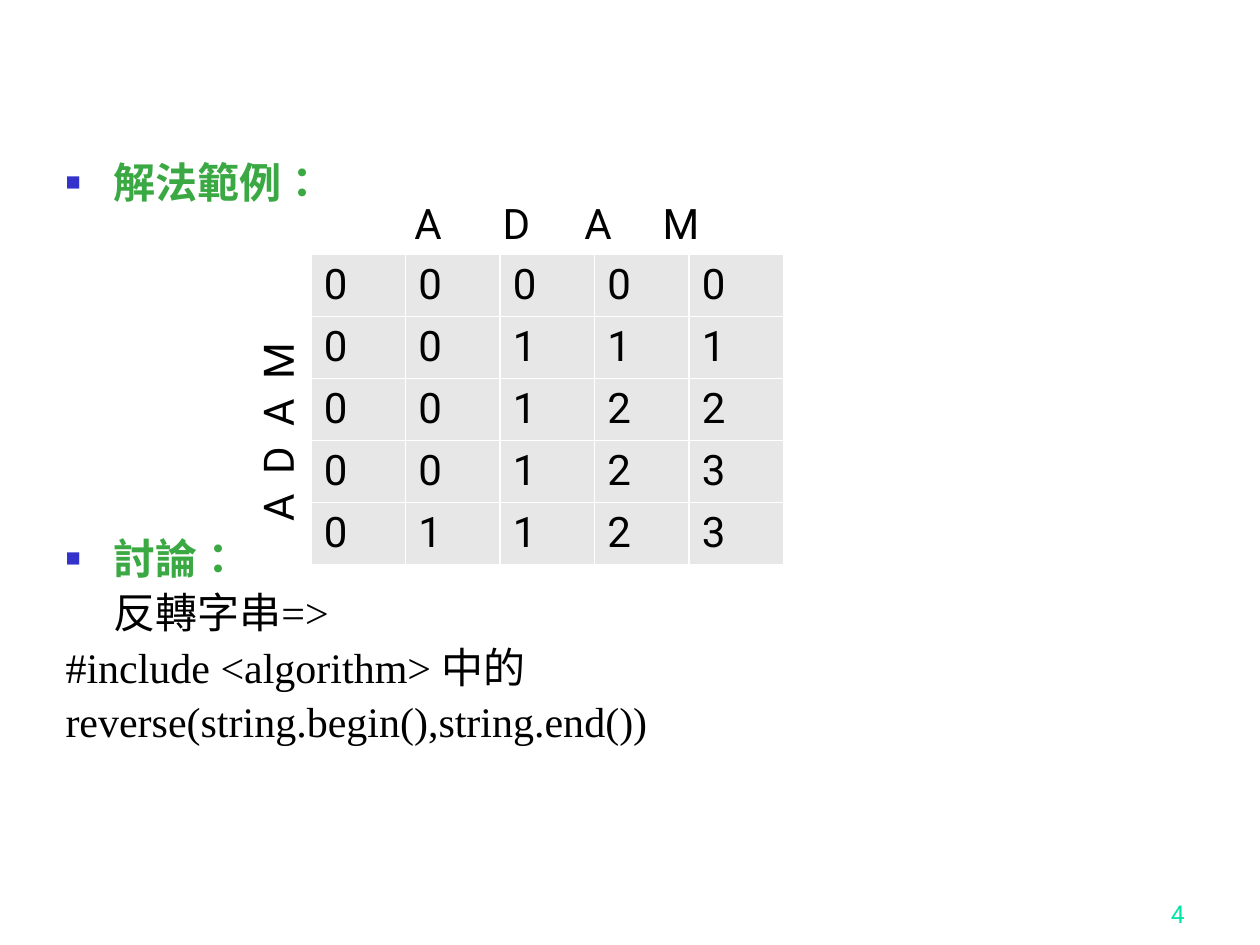
"""Build the slide on the longest common subsequence table of ADAM."""
import dataclasses
import typing

import lxml.etree
import pptx
import pptx.dml.color
import pptx.enum.lang
import pptx.enum.text
import pptx.oxml.ns
import pptx.util

Inches = pptx.util.Inches
Pt = pptx.util.Pt
RGBColor = pptx.dml.color.RGBColor
Align = pptx.enum.text.PP_ALIGN
Anchor = pptx.enum.text.MSO_ANCHOR

BLACK = RGBColor(0x00, 0x00, 0x00)
WHITE = RGBColor(0xFF, 0xFF, 0xFF)
GREEN = RGBColor(0x3B, 0xA9, 0x43)
BLUE = RGBColor(0x33, 0x33, 0xCC)
MINT = RGBColor(0x00, 0xE4, 0xA8)
CELL_GRAY = RGBColor(0xE7, 0xE7, 0xE7)

LINE_HEIGHT = Pt(31)
HANGING = Inches(0.38)
CELL_WIDTH, CELL_HEIGHT = Inches(0.75), Inches(0.44)
ROWS = ("00000", "00111", "00122", "00123", "01123")


@dataclasses.dataclass(frozen=True)
class BodyLine:
    text: str
    heading: bool = False
    hanging: bool = True
    space_before: float = 0


@dataclasses.dataclass(frozen=True)
class Label:
    text: str
    left: float
    top: float
    width: float
    tabs: tuple[float, ...] = ()
    rotation: float = 0
    size: float = 24
    color: RGBColor = BLACK
    alignment: Align = Align.LEFT
    anchor: Anchor = Anchor.TOP


BODY_LINES = (
    BodyLine("解法範例：", heading=True),
    BodyLine("討論：", heading=True, space_before=184),
    BodyLine("反轉字串=>", hanging=False),
    BodyLine("#include <algorithm> 中的"),
    BodyLine("reverse(string.begin(),string.end())"),
)
LABELS = (
    Label("A\tD\tA\tM", 3.19, 1.52, 3.78, tabs=(0.7, 1.35, 1.97)),
    Label("A\tD\tA\tM", 0.31, 2.1, 3.78, tabs=(0.38, 0.76, 1.13), rotation=270),
    Label("4", 7.42, 6.92, 2.08, size=14, color=MINT,
          alignment=Align.RIGHT, anchor=Anchor.BOTTOM),
)


def add_element(parent: typing.Any, tag: str, **attributes: str) -> typing.Any:
    """Append a drawing element with its attributes."""
    return lxml.etree.SubElement(parent, pptx.oxml.ns.qn(tag), attributes)


def set_values(target: typing.Any, values: dict[str, typing.Any]) -> None:
    """Set each named attribute on the target."""
    for name, value in values.items():
        setattr(target, name, value)


def format_font(font: typing.Any, name: str, size: float, color: RGBColor, bold: bool = False) -> None:
    """Apply typeface, size, weight and colour."""
    set_values(font, {"name": name, "size": Pt(size), "bold": bold})
    font.color.rgb = color


def add_bullet(properties: typing.Any) -> None:
    """Give a paragraph a small blue square bullet."""
    color = add_element(properties, "a:buClr")
    add_element(color, "a:srgbClr", val=str(BLUE))
    add_element(properties, "a:buSzPct", val="60000")
    add_element(properties, "a:buChar", char="■")


def fill_body(shape: typing.Any) -> None:
    """Place the body placeholder and write its lines."""
    set_values(shape, {"left": Inches(0.42), "top": Inches(1.16),
                       "width": Inches(8.83), "height": Inches(5.74)})
    frame = shape.text_frame
    set_values(frame, {"word_wrap": True, "vertical_anchor": Anchor.TOP,
                       "auto_size": pptx.enum.text.MSO_AUTO_SIZE.NONE})
    for index, line in enumerate(BODY_LINES):
        paragraph = frame.add_paragraph() if index else frame.paragraphs[0]
        properties = paragraph._p.get_or_add_pPr()
        properties.set("marL", str(HANGING))
        properties.set("indent", str(-HANGING if line.hanging else 0))
        if line.heading:
            add_bullet(properties)
        else:
            add_element(properties, "a:buNone")
        set_values(paragraph, {"line_spacing": LINE_HEIGHT, "alignment": Align.LEFT,
                               "space_before": Pt(line.space_before)})
        run = paragraph.add_run()
        run.text = line.text
        run.font.language_id = pptx.enum.lang.MSO_LANGUAGE_ID.TRADITIONAL_CHINESE
        format_font(run.font, "Times New Roman", 24,
                    GREEN if line.heading else BLACK, line.heading)


def add_border(cell: typing.Any) -> None:
    """Draw thin white lines around a cell."""
    properties = cell._tc.get_or_add_tcPr()
    for position, side in enumerate(("a:lnL", "a:lnR", "a:lnT", "a:lnB")):
        line = add_element(properties, side, w=str(Pt(1)))
        fill = add_element(line, "a:solidFill")
        add_element(fill, "a:srgbClr", val=str(WHITE))
        properties.insert(position, line)


def add_length_table(slide: typing.Any) -> None:
    """Add the table of subsequence lengths."""
    size = len(ROWS)
    table = slide.shapes.add_table(size, size, Inches(2.47), Inches(2.02),
                                   CELL_WIDTH * size, CELL_HEIGHT * size).table
    set_values(table, {"first_row": False, "horz_banding": False})
    for row, digits in enumerate(ROWS):
        table.rows[row].height = CELL_HEIGHT
        for column, digit in enumerate(digits):
            cell = table.cell(row, column)
            cell.text = digit
            cell.fill.solid()
            cell.fill.fore_color.rgb = CELL_GRAY
            add_border(cell)
            format_font(cell.text_frame.paragraphs[0].runs[0].font, "Roboto", 24, BLACK)


def add_label(slide: typing.Any, label: Label) -> None:
    """Add a text box, with tab stops where given."""
    shape = slide.shapes.add_textbox(Inches(label.left), Inches(label.top),
                                     Inches(label.width), Inches(0.5))
    shape.rotation = label.rotation
    set_values(shape.text_frame, {"word_wrap": True, "vertical_anchor": label.anchor})
    paragraph = shape.text_frame.paragraphs[0]
    if label.tabs:
        tab_list = add_element(paragraph._p.get_or_add_pPr(), "a:tabLst")
        for position in label.tabs:
            add_element(tab_list, "a:tab", pos=str(Inches(position)), algn="l")
    paragraph.alignment = label.alignment
    run = paragraph.add_run()
    run.text = label.text
    format_font(run.font, "Roboto", label.size, label.color)


def main() -> None:
    """Create and save the presentation."""
    presentation = pptx.Presentation()
    set_values(presentation, {"slide_width": Inches(10), "slide_height": Inches(7.5)})
    slide = presentation.slides.add_slide(presentation.slide_layouts[1])
    title = slide.shapes.title
    title._element.getparent().remove(title._element)
    fill_body(slide.placeholders[1])
    add_length_table(slide)
    for label in LABELS:
        add_label(slide, label)
    presentation.save("out.pptx")


if __name__ == "__main__":
    main()
